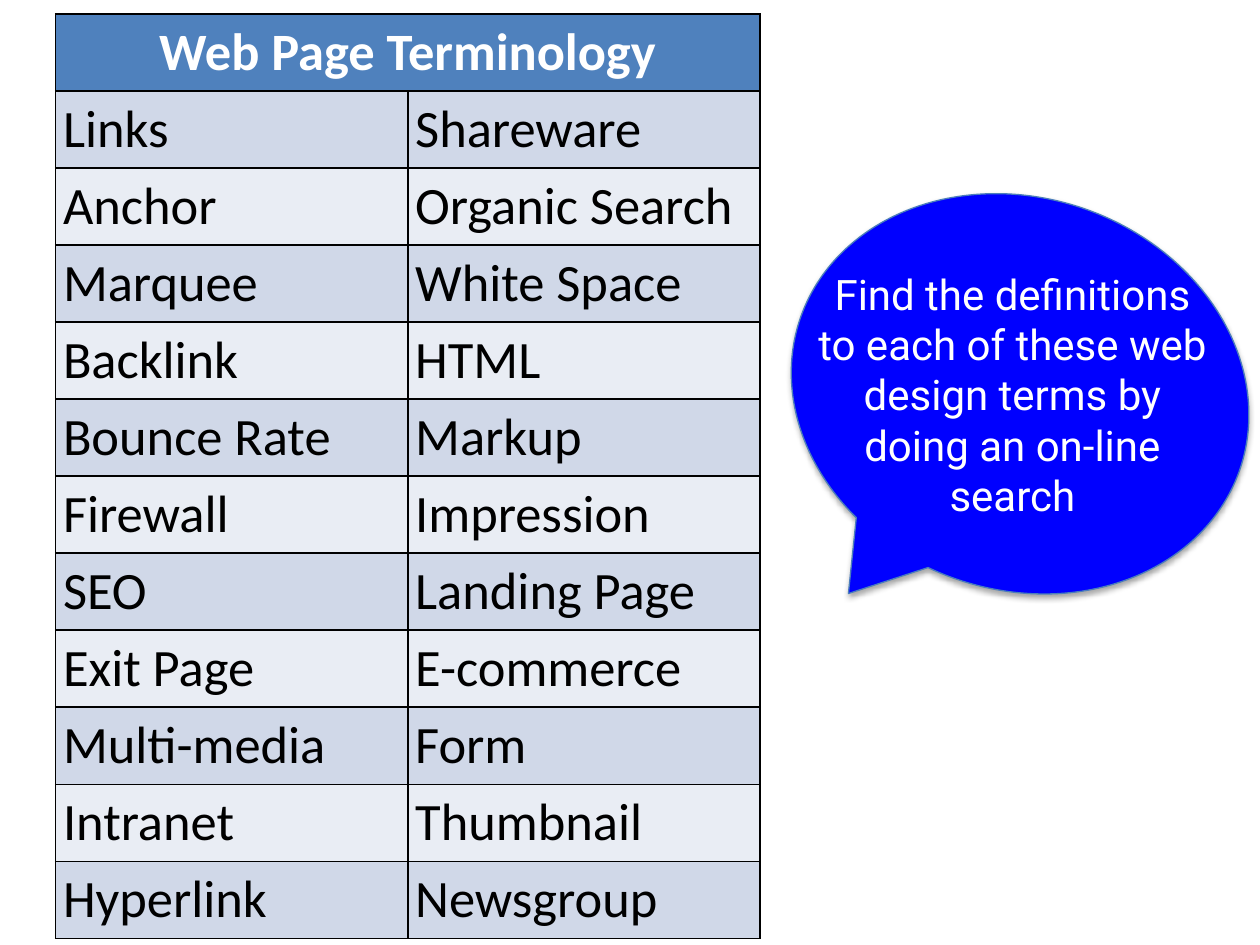
import pptx
import pptx.dml.color
import pptx.enum.shapes
import pptx.enum.text
import pptx.oxml
import pptx.oxml.ns
import pptx.util

Cm = pptx.util.Cm
Pt = pptx.util.Pt
RGBColor = pptx.dml.color.RGBColor
CENTER = pptx.enum.text.PP_ALIGN.CENTER

WHITE = RGBColor(0xFF, 0xFF, 0xFF)
BLACK = RGBColor(0x00, 0x00, 0x00)
HEADER_BLUE = RGBColor(0x4F, 0x81, 0xBD)
BANDS = (RGBColor(0xD0, 0xD8, 0xE8), RGBColor(0xE9, 0xED, 0xF4))
CALLOUT_BLUE = RGBColor(0x00, 0x00, 0xFF)
CALLOUT_LINE = RGBColor(0x4B, 0x7E, 0xBC)

HEADING = "Web Page Terminology"
TERMS = [
    ("Links", "Shareware"),
    ("Anchor", "Organic Search"),
    ("Marquee", "White Space"),
    ("Backlink", "HTML"),
    ("Bounce Rate", "Markup"),
    ("Firewall", "Impression"),
    ("SEO", "Landing Page"),
    ("Exit Page", "E-commerce"),
    ("Multi-media", "Form"),
    ("Intranet", "Thumbnail"),
    ("Hyperlink", "Newsgroup"),
]
TASK = ("Find the definitions to each of these web design terms "
        "by doing an on-line search")


class SlideBuilder:
    table_font, table_size = "Calibri", Pt(30)
    task_font, task_size = "Roboto", Pt(24)

    def __init__(self, slide):
        self.slide = slide

    def styled_text(self, tf, text, font, size, color, bold=False, align=None):
        tf.text = text
        p = tf.paragraphs[0]
        p.alignment = align
        for r in p.runs:
            r.font.name, r.font.size, r.font.bold = font, size, bold
            r.font.color.rgb = color

    def border(self, cell):
        """Draw a 1 pt black line on all four sides of the cell."""
        tc_pr = cell._tc.get_or_add_tcPr()
        for side in ("lnL", "lnR", "lnT", "lnB"):
            tc_pr.append(pptx.oxml.parse_xml(
                f'<a:{side} {pptx.oxml.ns.nsdecls("a")} w="{Pt(1)}">'
                f'<a:solidFill><a:srgbClr val="{BLACK}"/></a:solidFill>'
                f'</a:{side}>'))

    def cell(self, cell, text, fill, color, bold=False, align=None):
        cell.margin_left = cell.margin_right = Cm(0.15)
        cell.margin_top = cell.margin_bottom = Cm(0.13)
        self.border(cell)
        cell.fill.solid()
        cell.fill.fore_color.rgb = fill
        self.styled_text(cell.text_frame, text, self.table_font,
                         self.table_size, color, bold, align)

    def term_table(self, left, top, col_width, row_height):
        rows = len(TERMS) + 1
        table = self.slide.shapes.add_table(
            rows, 2, left, top, col_width * 2, row_height * rows).table
        table.cell(0, 0).merge(table.cell(0, 1))
        for col, text in enumerate((HEADING, "")):
            self.cell(table.cell(0, col), text, HEADER_BLUE, WHITE, True, CENTER)
        for row, pair in enumerate(TERMS, start=1):
            for col, term in enumerate(pair):
                self.cell(table.cell(row, col), term, BANDS[(row - 1) % 2], BLACK)

    def soft_shadow(self, sp):
        sp.shadow.inherit = False
        effects = sp._element.spPr.find(pptx.oxml.ns.qn("a:effectLst"))
        effects.append(pptx.oxml.parse_xml(
            f'<a:outerShdw {pptx.oxml.ns.nsdecls("a")} blurRad="{Pt(3.1)}" '
            f'dist="{Pt(1.8)}" dir="5400000" rotWithShape="0">'
            f'<a:srgbClr val="{BLACK}"><a:alpha val="35000"/></a:srgbClr>'
            '</a:outerShdw>'))

    def callout(self, left, top, width, height, rotation):
        sp = self.slide.shapes.add_shape(
            pptx.enum.shapes.MSO_SHAPE.OVAL_CALLOUT, left, top, width, height)
        sp.rotation = rotation
        sp.fill.solid()
        sp.fill.fore_color.rgb = CALLOUT_BLUE
        sp.line.color.rgb = CALLOUT_LINE
        sp.line.width = Pt(0.75)
        self.soft_shadow(sp)

    def task_text(self, left, top, width, height):
        tf = self.slide.shapes.add_textbox(left, top, width, height).text_frame
        tf.word_wrap = True
        self.styled_text(tf, TASK, self.task_font, self.task_size, WHITE,
                         align=CENTER)


def main():
    prs = pptx.Presentation()
    prs.slide_width, prs.slide_height = Cm(25.4), Cm(19.05)
    s = SlideBuilder(prs.slides.add_slide(prs.slide_layouts[6]))
    s.term_table(Cm(1.12), Cm(0.28), Cm(7.1), Cm(1.54))
    s.callout(Cm(15.88), Cm(3.99), Cm(9.37), Cm(7.9), 19.1)
    s.task_text(Cm(16.23), Cm(5.28), Cm(8.36), Cm(6.6))
    prs.save("out.pptx")


if __name__ == "__main__":
    main()
